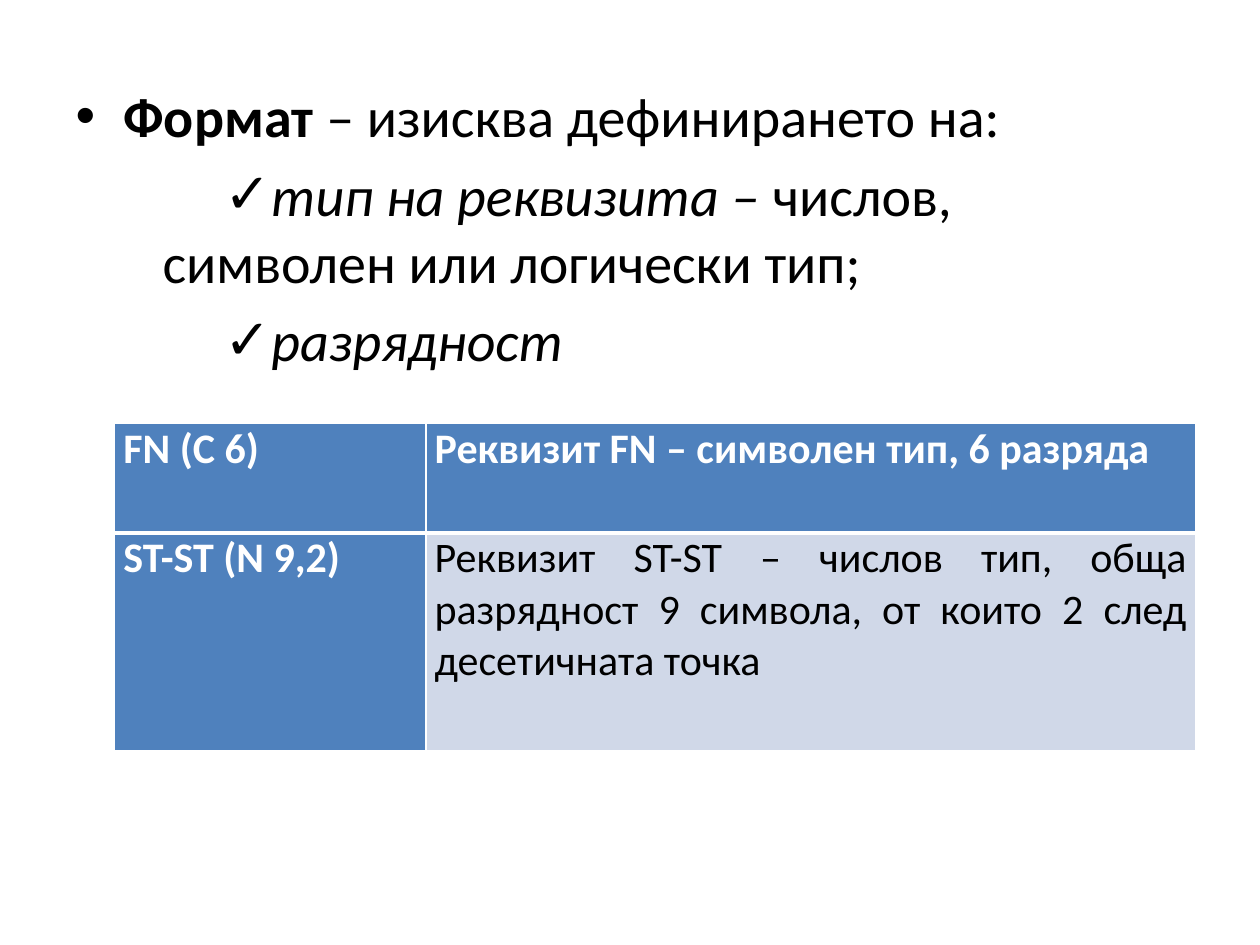
from dataclasses import dataclass

from pptx import Presentation
from pptx.dml.color import RGBColor
from pptx.enum.text import MSO_ANCHOR, PP_ALIGN
from pptx.oxml.xmlchemy import OxmlElement
from pptx.slide import Slide
from pptx.table import _Cell as Cell
from pptx.text.text import TextFrame, _Paragraph as Paragraph
from pptx.util import Inches, Pt


@dataclass(frozen=True)
class Theme:
    font: str = "Calibri"
    body_size: int = 32
    table_size: int = 24
    black: str = "000000"
    white: str = "FFFFFF"
    blue: str = "4F81BD"
    pale_blue: str = "D0D8E8"
    thin_line: int = 1
    thick_line: int = 3


@dataclass(frozen=True)
class Piece:
    text: str
    bold: bool = False
    italic: bool = False


@dataclass(frozen=True)
class Item:
    pieces: tuple[Piece, ...]
    bullet: str
    margin: float
    indent: float


@dataclass(frozen=True)
class Entry:
    text: str
    heading: bool = True


THEME = Theme()

ITEMS = (
    Item((Piece("Формат ", bold=True), Piece("– изисква дефинирането на:")), "•", 0.38, -0.38),
    Item((Piece("тип на реквизита – ", italic=True),
          Piece("числов, символен или логически тип;")), "✓", 0.69, 0.49),
    Item((Piece("разрядност", italic=True),), "✓", 0.69, 0.49),
)

ROWS = (
    (Entry("FN (C 6)"), Entry("Реквизит FN – символен тип, 6 разряда")),
    (Entry("ST-ST (N 9,2)"),
     Entry("Реквизит ST-ST – числов тип, обща разрядност 9 символа, "
           "от които 2 след десетичната точка", heading=False)),
)
COLUMN_WIDTHS = (2.47, 6.11)
ROW_HEIGHTS = (0.87, 1.73)


def set_bullet(paragraph: Paragraph, item: Item) -> None:
    properties = paragraph._p.get_or_add_pPr()
    properties.set("marL", str(Inches(item.margin)))
    properties.set("indent", str(Inches(item.indent)))
    bullet = OxmlElement("a:buChar")
    bullet.set("char", item.bullet)
    properties.append(bullet)


def write_items(text_frame: TextFrame, items: tuple[Item, ...]) -> None:
    text_frame.word_wrap = True
    for index, item in enumerate(items):
        paragraph = text_frame.add_paragraph() if index else text_frame.paragraphs[0]
        if index == 0:
            paragraph.space_before = Pt(0)
        set_bullet(paragraph, item)
        for piece in item.pieces:
            run = paragraph.add_run()
            run.text = piece.text
            run.font.name = THEME.font
            run.font.size = Pt(THEME.body_size)
            run.font.bold = piece.bold
            run.font.italic = piece.italic
            run.font.color.rgb = RGBColor.from_string(THEME.black)


def set_borders(cell: Cell, top: int, bottom: int) -> None:
    properties = cell._tc.get_or_add_tcPr()
    widths = {"L": THEME.thin_line, "R": THEME.thin_line, "T": top, "B": bottom}
    for side, width in widths.items():
        line = OxmlElement(f"a:ln{side}")
        line.set("w", str(Pt(width)))
        fill = OxmlElement("a:solidFill")
        color = OxmlElement("a:srgbClr")
        color.set("val", THEME.white)
        fill.append(color)
        line.append(fill)
        properties.append(line)


def write_cell(cell: Cell, entry: Entry) -> None:
    cell.margin_left = cell.margin_right = Inches(0.07)
    cell.margin_top = cell.margin_bottom = 0
    cell.vertical_anchor = MSO_ANCHOR.TOP
    cell.fill.solid()
    cell.fill.fore_color.rgb = RGBColor.from_string(
        THEME.blue if entry.heading else THEME.pale_blue)
    cell.text_frame.text = entry.text
    paragraph = cell.text_frame.paragraphs[0]
    paragraph.alignment = PP_ALIGN.JUSTIFY
    font = paragraph.runs[0].font
    font.name = THEME.font
    font.size = Pt(THEME.table_size)
    font.bold = entry.heading
    font.color.rgb = RGBColor.from_string(THEME.white if entry.heading else THEME.black)


def add_format_table(slide: Slide) -> None:
    table = slide.shapes.add_table(
        len(ROWS), len(COLUMN_WIDTHS), Inches(0.91), Inches(3.36),
        Inches(sum(COLUMN_WIDTHS)), Inches(sum(ROW_HEIGHTS))).table
    for column, width in zip(table.columns, COLUMN_WIDTHS):
        column.width = Inches(width)
    for row_index, (row, entries) in enumerate(zip(table.rows, ROWS)):
        row.height = Inches(ROW_HEIGHTS[row_index])
        top = THEME.thick_line if row_index else THEME.thin_line
        bottom = THEME.thin_line if row_index else THEME.thick_line
        for cell, entry in zip(row.cells, entries):
            set_borders(cell, top, bottom)
            write_cell(cell, entry)


def main() -> None:
    presentation = Presentation()
    presentation.slide_width = Inches(10)
    presentation.slide_height = Inches(7.5)
    slide = presentation.slides.add_slide(presentation.slide_layouts.get_by_name("Title and Content"))
    title = slide.shapes.title
    title.element.getparent().remove(title.element)
    body = slide.placeholders[1]
    body.left, body.top = Inches(0.5), Inches(0.6)
    body.width, body.height = Inches(9), Inches(6.1)
    write_items(body.text_frame, ITEMS)
    add_format_table(slide)
    presentation.save("out.pptx")


if __name__ == "__main__":
    main()
